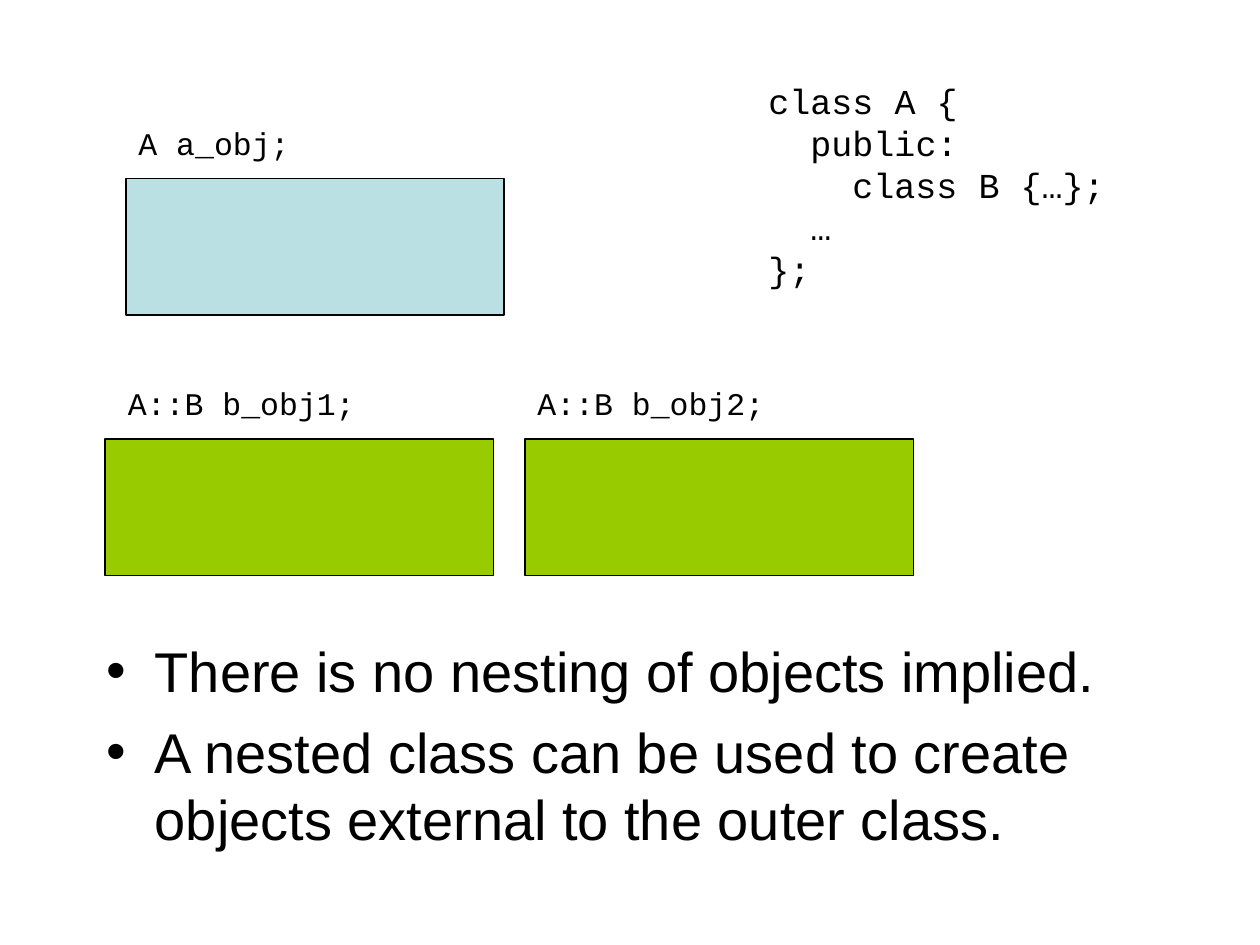
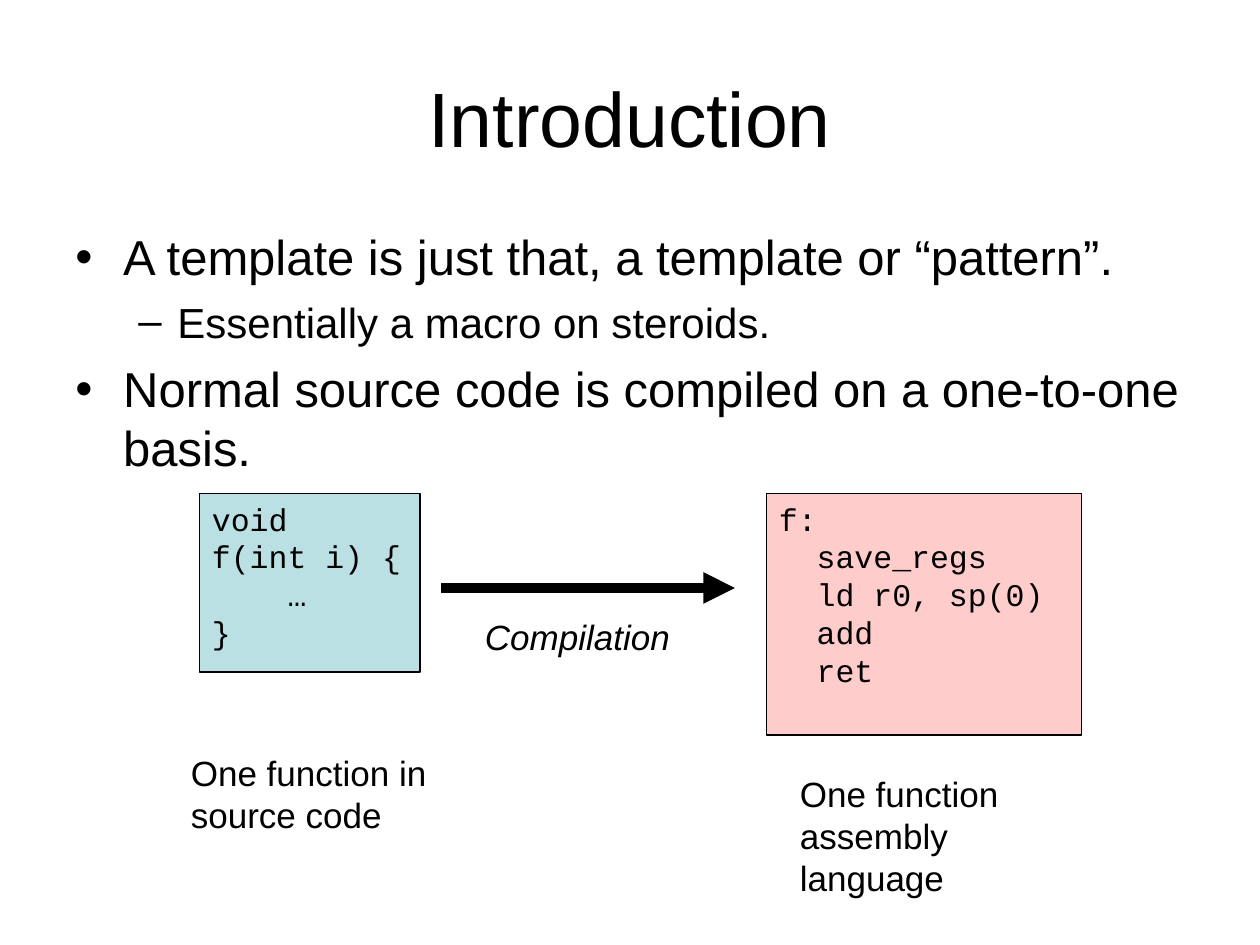
from lxml import etree
from pptx import Presentation
from pptx.dml.color import RGBColor
from pptx.enum.shapes import MSO_CONNECTOR, MSO_SHAPE
from pptx.enum.text import MSO_ANCHOR, PP_ALIGN
from pptx.oxml.ns import qn
from pptx.util import Inches, Pt

RECT, LINE = MSO_SHAPE.RECTANGLE, MSO_CONNECTOR.STRAIGHT
TOP, MID = MSO_ANCHOR.TOP, MSO_ANCHOR.MIDDLE
LEFT, MIDDLE = PP_ALIGN.LEFT, PP_ALIGN.CENTER
SANS, MONO = "Arial", "Courier New"
HUE = {"ink": "000000", "teal": "BBE0E3", "lime": "99CC00", "rose": "FFCCCC"}
WIDE, HIGH = 10, 7.5
UNIT = WIDE / 120  # the slide is a grid of 120 columns by 90 rows

# Bullet levels: mark, left margin and hanging indent in inches
MARKS = [("•", 0.38, -0.38), ("–", 0.81, -0.31)]

# Content: bullets are (level, size, text), code lines are (depth, text);
# places are (column, row, columns, rows)
NESTING = [
    (0, 32, "There is no nesting of objects implied."),
    (0, 32, "A nested class can be used to create objects external "
            "to the outer class."),
]
OBJECTS = [  # label, label place, box place, fill
    ("A a_obj;", (12, 11.2, 32, 4.8), (12, 17, 36, 13), "teal"),
    ("A::B b_obj1;", (11, 36, 26, 4.8), (10, 41.8, 37, 13), "lime"),
    ("A::B b_obj2;", (50, 36, 26, 4.8), (50, 41.8, 37, 13), "lime"),
]
OUTER = [(0, "class A {"), (2, "public:"), (4, "class B {…};"),
         (2, "…"), (0, "};")]

INTRO = [
    (0, 28, "A template is just that, a template or “pattern”."),
    (1, 24, "Essentially a macro on steroids."),
    (0, 28, "Normal source code is compiled on a one-to-one basis."),
]
PANELS = [  # code, place, fill
    ([(0, "void"), (0, "f(int i) {"), (4, "…"), (0, "}")],
     (19, 47, 21, 17), "teal"),
    ([(0, "f:"), (2, "save_regs"), (2, "ld r0, sp(0)"), (2, "add"),
      (2, "ret")], (73, 47, 30, 23), "rose"),
]
NOTES = [  # text, place, italic
    ("One function in source code", (17, 71, 25, 9.2), False),
    ("One function assembly language", (75, 73, 25, 13.2), False),
    ("Compilation", (45, 58, 22, 5.3), True),
]
ARROW = (42, 56, 70, 56)


def grid(place):
    return [Inches(n * UNIT) for n in place]


def ink(name):
    return RGBColor.from_string(HUE[name])


def add_box(slide, place, fill):
    box = slide.shapes.add_shape(RECT, *grid(place))
    box.shadow.inherit = False
    box.fill.solid()
    box.fill.fore_color.rgb = ink(fill)
    box.line.color.rgb = ink("ink")
    box.line.width = Pt(0.75)
    return box


def write(shape, lines, font=SANS, size=20, gap=0, italic=False,
          align=LEFT, anchor=TOP):
    """Each line is (text, margin, indent, mark, size, gap) or shorter."""
    frame = shape.text_frame
    frame.word_wrap = True
    frame.vertical_anchor = anchor
    for i, (text, *rest) in enumerate(lines):
        margin, indent, mark, points, space = rest or (0, 0, "", size, gap)
        para = frame.paragraphs[0] if i == 0 else frame.add_paragraph()
        para.alignment = align
        para.space_before = Pt(space)
        props = para._p.get_or_add_pPr()
        props.set("marL", str(Inches(margin)))
        props.set("indent", str(Inches(indent)))
        if mark:
            etree.SubElement(props, qn("a:buFont"), typeface=SANS)
            etree.SubElement(props, qn("a:buChar"), char=mark)
        run = para.add_run()
        run.text = text
        run.font.name, run.font.size = font, Pt(points)
        run.font.italic = italic
        run.font.color.rgb = ink("ink")


def add_text(slide, place, lines, **style):
    write(slide.shapes.add_textbox(*grid(place)), lines, **style)


def add_list(slide, place, items):
    lines = []
    for level, size, text in items:
        mark, margin, indent = MARKS[level]
        lines.append((text, margin, indent, mark, size, size / 4))
    add_text(slide, place, lines)


def code_lines(code, size):
    char = 0.6 * size / 72  # width of one fixed-pitch letter in inches
    return [(text, depth * char, 0, "", size, 0) for depth, text in code]


def add_arrow(slide, ends):
    arrow = slide.shapes.add_connector(LINE, *grid(ends))
    arrow.line.color.rgb = ink("ink")
    arrow.line.width = Pt(6)
    etree.SubElement(arrow.line._get_or_add_ln(), qn("a:tailEnd"),
                     type="triangle")
    etree.SubElement(arrow._element.spPr, qn("a:effectLst"))


def nest_slide(slide):
    add_list(slide, (9, 60, 108, 23), NESTING)
    for label, spot, place, fill in OBJECTS:
        add_box(slide, place, fill)
        add_text(slide, spot, [(label,)], font=MONO, size=18, gap=11.2)
    add_text(slide, (72, 7, 39, 21.2), code_lines(OUTER, 20), font=MONO)


def intro_slide(slide):
    add_text(slide, (6, 3.6, 108, 15), [("Introduction",)], size=44,
             align=MIDDLE, anchor=MID)
    add_list(slide, (6, 21, 108, 26), INTRO)
    for code, place, fill in PANELS:
        write(add_box(slide, place, fill), code_lines(code, 18), font=MONO)
    for text, place, italic in NOTES:
        add_text(slide, place, [(text,)], gap=12.5, italic=italic)
    add_arrow(slide, ARROW)


def main():
    deck = Presentation()
    deck.slide_width, deck.slide_height = Inches(WIDE), Inches(HIGH)
    for build in (nest_slide, intro_slide):
        build(deck.slides.add_slide(deck.slide_layouts[6]))
    deck.save("out.pptx")


if __name__ == "__main__":
    main()
